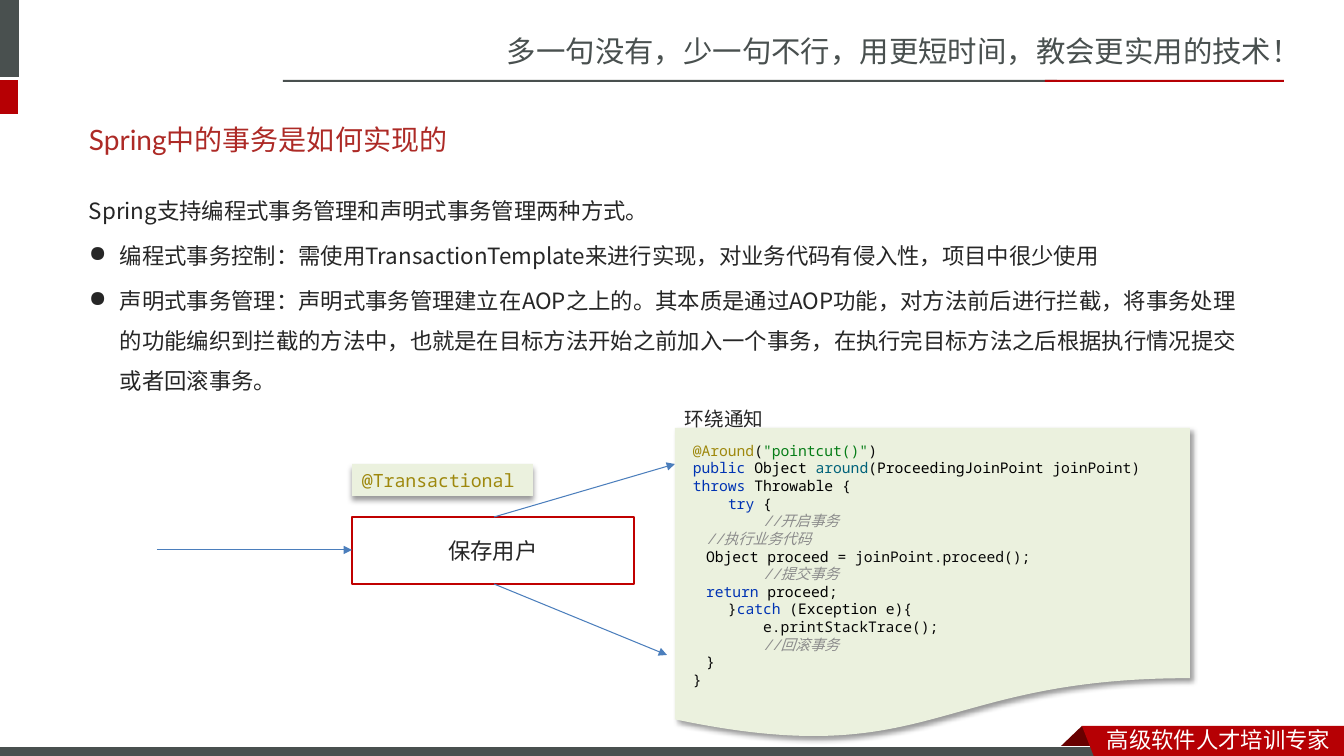
from lxml import etree
from pptx import Presentation
from pptx import util as u
from pptx.dml import color
from pptx.enum import shapes, text
from pptx.oxml import ns

PX = 914400 / 100.8
SC, JP, MONO = "Noto Sans CJK SC", "Noto Sans CJK JP", "Noto Sans Mono"
GREY, RED, INK, BLUE, PALE = "49504F", "B60004", "262626", "4B7EBC", "EBF1DE"
KEYWORD, NAME, PLAIN, COMMENT = "0033B3", "000000", "080808", "8C8C8C"


def px(value):
    return u.Emu(round(value * PX))


def rgb(value):
    return color.RGBColor.from_string(value)


def child(parent, tag, **values):
    return etree.SubElement(parent, ns.qn(tag), {k: str(v) for k, v in values.items()})


def apply(target, values):
    for name, value in values.items():
        setattr(target, name, value)


class Board:
    def __init__(self, deck):
        self.shapes = deck.slides.add_slide(deck.slide_layouts[6]).shapes

    def add_words(self, paragraph, words, font, size, ink, italic=False):
        for index, piece in enumerate(words.split("\n")):
            if index:
                paragraph.add_line_break()
            if not piece:
                continue
            run = paragraph.add_run()
            run.text = piece
            apply(run.font, {"name": font, "size": u.Pt(size), "italic": italic})
            run.font.color.rgb = rgb(ink)
            child(run.font._element, "a:ea", typeface=SC if font in (MONO, "Lato") else font)

    def set_text(self, shape, paragraphs, anchor=text.MSO_ANCHOR.TOP, bullets_from=None, **layout):
        frame = shape.text_frame
        apply(frame, {"word_wrap": True, "vertical_anchor": anchor})
        for index, runs in enumerate(paragraphs):
            paragraph = frame.add_paragraph() if index else frame.paragraphs[0]
            apply(paragraph, {"alignment": text.PP_ALIGN.LEFT, **layout})
            if index:
                paragraph.space_before = u.Pt(3.2)
            if bullets_from is not None and index >= bullets_from:
                props = paragraph._p.get_or_add_pPr()
                props.set("marL", str(px(31)))
                props.set("indent", str(px(-31)))
                child(props, "a:buChar", char="●")
            for run in runs:
                self.add_words(paragraph, *run)

    def label(self, box, paragraphs, **layout):
        self.set_text(self.shapes.add_textbox(*map(px, box)), paragraphs, **layout)

    def paint(self, shape, fill=None, line=None, width=0.75, shadow_angle=None):
        shape.shadow.inherit = False
        if fill:
            shape.fill.solid()
            shape.fill.fore_color.rgb = rgb(fill)
        else:
            shape.fill.background()
        if line:
            shape.line.color.rgb = rgb(line)
            shape.line.width = u.Pt(width)
        else:
            shape.line.fill.background()
        if shadow_angle is not None:
            effects = shape._element.spPr.find(ns.qn("a:effectLst"))
            shadow = child(effects, "a:outerShdw", blurRad=u.Pt(4), dist=u.Pt(3),
                           dir=shadow_angle * 60000, algn="tl", rotWithShape=0)
            child(child(shadow, "a:srgbClr", val="000000"), "a:alpha", val=40000)
        return shape

    def block(self, box, kind=shapes.MSO_SHAPE.RECTANGLE, **style):
        return self.paint(self.shapes.add_shape(kind, *map(px, box)), **style)

    def outline(self, points, fill):
        builder = self.shapes.build_freeform(*points[0], scale=PX)
        builder.add_line_segments(points[1:], close=True)
        self.paint(builder.convert_to_shape(), fill)

    def arrow(self, start, end, kind=shapes.MSO_CONNECTOR.STRAIGHT):
        arrow = self.shapes.add_connector(kind, *map(px, start + end))
        arrow.line.color.rgb = rgb(BLUE)
        arrow.line.width = u.Pt(0.75)
        child(arrow.line._get_or_add_ln(), "a:tailEnd", type="triangle")
        child(arrow._element.spPr, "a:effectLst")


def add_frame(board):
    board.label((497, 28, 848, 47), [[("多一句没有，少一句不行，用更短时间，教会更实用的技术！", SC, 21, GREY)]])
    for box, fill in (
        ((-6, 0, 25, 77), GREY),
        ((-6, 80, 24, 34), RED),
        ((283, 80, 774, 2), GREY),
        ((1045, 80, 239, 2), RED),
    ):
        board.block(box, fill=fill)
    board.outline([(1082, 726), (1104, 748), (1103, 749), (1060, 749), (1059, 748)], "680000")
    board.block((-1, 747, 1109, 12), fill=GREY, line="FFFFFF")
    board.outline([(1082, 726), (1344, 726), (1344, 760), (1095, 759)], RED)
    board.label((1097, 721, 247, 37), [[("高级软件人才培训专家", SC, 16, "FFFFFF")]])


def add_explanation(board):
    board.label((79, 111, 1179, 57), [[("Spring中的事务是如何实现的", "Lato", 20, "AD2A26")]],
                anchor=text.MSO_ANCHOR.MIDDLE)
    points = (
        "Spring支持编程式事务管理和声明式事务管理两种方式。",
        "编程式事务控制：需使用TransactionTemplate来进行实现，对业务代码有侵入性，项目中很少使用",
        "声明式事务管理：声明式事务管理建立在AOP之上的。其本质是通过AOP功能，对方法前后进行拦截，"
        "将事务处理的功能编织到拦截的方法中，也就是在目标方法开始之前加入一个事务，"
        "在执行完目标方法之后根据执行情况提交或者回滚事务。",
    )
    board.label((79, 179, 1179, 265), [[(point, JP, 16, INK)] for point in points],
                bullets_from=1, line_spacing=1.5)


def add_diagram(board):
    save_user = board.block((352, 517, 282, 67), line="C00000", width=2)
    board.set_text(save_user, [[("保存用户", JP, 16, INK)]], anchor=text.MSO_ANCHOR.MIDDLE,
                   alignment=text.PP_ALIGN.CENTER)
    board.arrow((157, 550), (352, 550), shapes.MSO_CONNECTOR.CURVE)
    board.arrow((494, 517), (675, 464))
    board.arrow((494, 584), (667, 655))
    board.label((675, 390, 166, 57), [[("环绕通知", JP, 14, INK)]], line_spacing=1.5)
    board.block((675, 428, 515, 312), shapes.MSO_SHAPE.FLOWCHART_DOCUMENT,
                fill=PALE, shadow_angle=45)
    tokens = (
        ("@Around", "9E880D"), ("(", PLAIN), ('"pointcut()"', "067D17"), (")\n", PLAIN),
        ("public ", KEYWORD), ("Object ", NAME), ("around", "00627A"), ("(", PLAIN),
        ("ProceedingJoinPoint ", NAME), ("joinPoint) ", PLAIN),
        ("throws ", KEYWORD), ("Throwable ", NAME), ("{\n    ", PLAIN),
        ("try ", KEYWORD), ("{\n        ", PLAIN),
        ("//", COMMENT), ("开启事务\n    ", COMMENT, SC),
        ("//", COMMENT), ("执行业务代码\n    ", COMMENT, SC),
        ("Object proceed ", NAME), ("= joinPoint.proceed();\n        ", PLAIN),
        ("//", COMMENT), ("提交事务\n    ", COMMENT, SC),
        ("return ", KEYWORD), ("proceed", NAME), (";\n    }", PLAIN),
        ("catch ", KEYWORD), ("(", PLAIN), ("Exception ", NAME),
        ("e){\n        e.printStackTrace();\n        ", PLAIN),
        ("//", COMMENT), ("回滚事务\n    ", COMMENT, SC), ("}\n}", PLAIN),
    )
    code = [(words, font[0] if font else MONO, 10.5, ink, ink == COMMENT)
            for words, ink, *font in tokens]
    board.label((683, 444, 528, 242), [code], anchor=text.MSO_ANCHOR.MIDDLE)
    annotation = board.block((352, 464, 181, 32), fill=PALE, shadow_angle=90)
    board.set_text(annotation, [[("@Transactional", MONO, 13, "9E880D")]],
                   anchor=text.MSO_ANCHOR.MIDDLE)


def main():
    deck = Presentation()
    apply(deck, {"slide_width": px(1344), "slide_height": px(756)})
    board = Board(deck)
    add_frame(board)
    add_explanation(board)
    add_diagram(board)
    deck.save("out.pptx")


if __name__ == "__main__":
    main()
